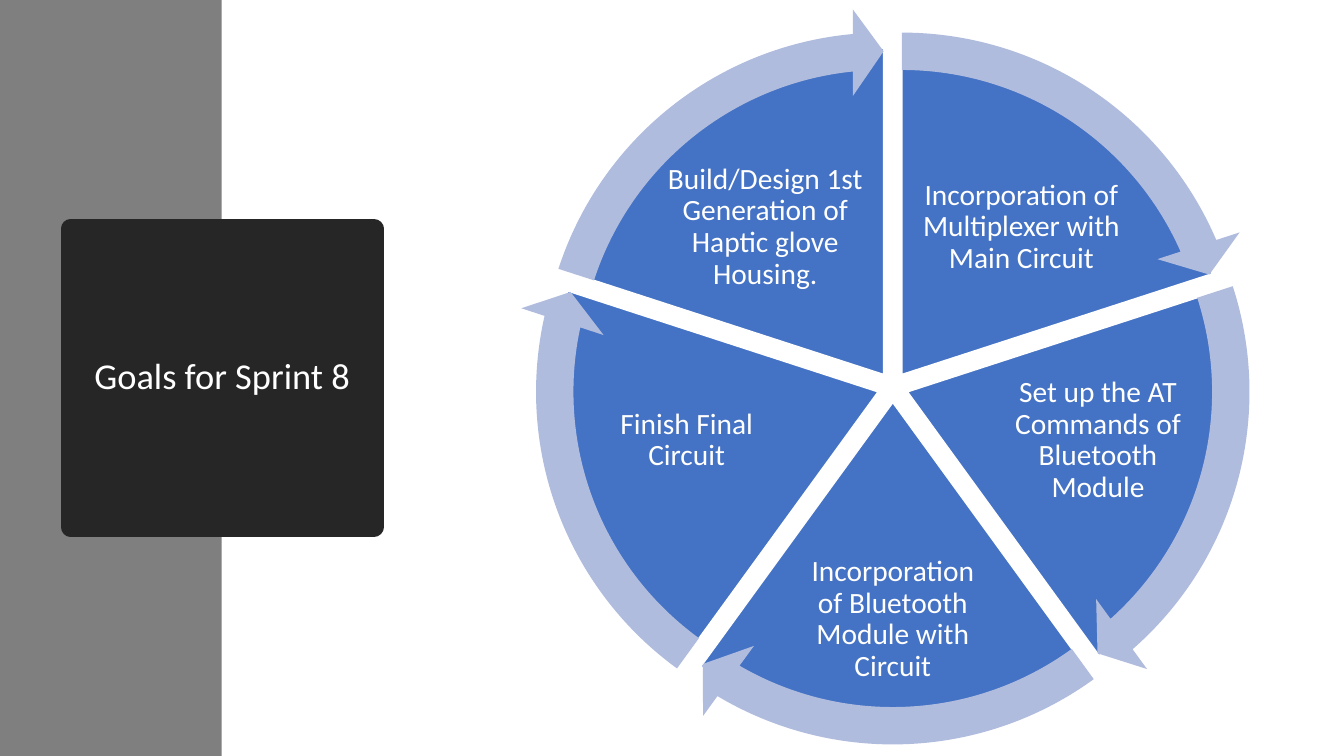
import math
from pptx import Presentation
from pptx.dml.color import RGBColor
from pptx.enum.shapes import MSO_SHAPE
from pptx.enum.text import MSO_ANCHOR, PP_ALIGN
from pptx.util import Inches, Pt

RECTANGLE = MSO_SHAPE.RECTANGLE
PIE = MSO_SHAPE.PIE
CIRCULAR_ARROW = MSO_SHAPE.CIRCULAR_ARROW
MIDDLE = MSO_ANCHOR.MIDDLE
CENTER = PP_ALIGN.CENTER

THEME = {
    "font": "Calibri",
    "title_size": 26,
    "goal_size": 21,
    "band": "7F7F7F",
    "title_box": "262626",
    "wedge": "4472C4",
    "arrow": "B0BCDE",
    "white": "FFFFFF",
}

GOALS = [
    ("Incorporation of Multiplexer with Main Circuit", 9.09, 1.56, 2.08, 1.39),
    ("Set up the AT Commands of Bluetooth Module", 9.93, 3.6, 1.92, 1.54),
    ("Incorporation of Bluetooth Module with Circuit", 7.93, 5.3, 1.85, 1.69),
    ("Finish Final Circuit", 5.85, 3.6, 1.92, 1.54),
    ("Build/Design 1st Generation of Haptic glove Housing.", 6.55, 1.56, 2.08, 1.39),
]

CENTER_X, CENTER_Y = 8.855, 3.84
WEDGE_OFFSET = 0.154
WEDGE_SIZE, ARROW_SIZE = 6.47, 7.27
FULL_TURN, TOP = 216, 162
STEP = FULL_TURN / len(GOALS)
HEAD_ANGLE = 3.275


def add_part(shapes, kind, bounds, fill, line=None, width=1):
    shape = shapes.add_shape(kind, *(Inches(value) for value in bounds))
    shape.shadow.inherit = False
    shape.fill.solid()
    shape.fill.fore_color.rgb = RGBColor.from_string(THEME[fill])
    if line:
        shape.line.color.rgb = RGBColor.from_string(THEME[line])
        shape.line.width = Pt(width)
    else:
        shape.line.fill.background()
    return shape


def write_text(box, text, size, inset_x, inset_y):
    frame = box.text_frame
    frame_format = {
        "word_wrap": True,
        "vertical_anchor": MIDDLE,
        "margin_left": Inches(inset_x),
        "margin_right": Inches(inset_x),
        "margin_top": Inches(inset_y),
        "margin_bottom": Inches(inset_y),
    }
    for name, value in frame_format.items():
        setattr(frame, name, value)
    para = frame.paragraphs[0]
    para.alignment = CENTER
    para.line_spacing = 0.9
    span = para.add_run()
    span.text = text
    for name, value in {"name": THEME["font"], "size": Pt(THEME[size])}.items():
        setattr(span.font, name, value)
    span.font.color.rgb = RGBColor.from_string(THEME["white"])


deck = Presentation()
deck.slide_width = Inches(13.33)
deck.slide_height = Inches(7.5)
page = deck.slides.add_slide(deck.slide_layouts[6])

add_part(page.shapes, RECTANGLE, (0, 0, 2.2, 7.5), "band")
title = add_part(page.shapes, RECTANGLE, (0.7, 2.27, 3.01, 2.96), "title_box", "title_box", 13.75)
write_text(title, "Goals for Sprint 8", "title_size", 0.1, 0.05)

cycle = page.shapes.add_group_shape()
arrows = []
for index, (goal, left, top, width, height) in enumerate(GOALS):
    start = (TOP + index * STEP) % FULL_TURN
    end = (start + STEP) % FULL_TURN
    middle = math.tau * (start + STEP / 2) / FULL_TURN
    x = CENTER_X + WEDGE_OFFSET * math.cos(middle)
    y = CENTER_Y + WEDGE_OFFSET * math.sin(middle)

    bounds = (x - WEDGE_SIZE / 2, y - WEDGE_SIZE / 2, WEDGE_SIZE, WEDGE_SIZE)
    wedge = add_part(cycle.shapes, PIE, bounds, "wedge", "white")
    wedge.adjustments[0] = start
    wedge.adjustments[1] = end

    box = cycle.shapes.add_textbox(Inches(left), Inches(top), Inches(width), Inches(height))
    write_text(box, goal, "goal_size", 0.03, 0.03)

    arrow_end = (start + STEP - HEAD_ANGLE) % FULL_TURN
    arrows.append((x, y, (0.051, HEAD_ANGLE, arrow_end, start, 0.059)))

for x, y, adjustments in arrows:
    bounds = (x - ARROW_SIZE / 2, y - ARROW_SIZE / 2, ARROW_SIZE, ARROW_SIZE)
    arrow = add_part(cycle.shapes, CIRCULAR_ARROW, bounds, "arrow")
    for position, value in enumerate(adjustments):
        arrow.adjustments[position] = value

deck.save("out.pptx")
